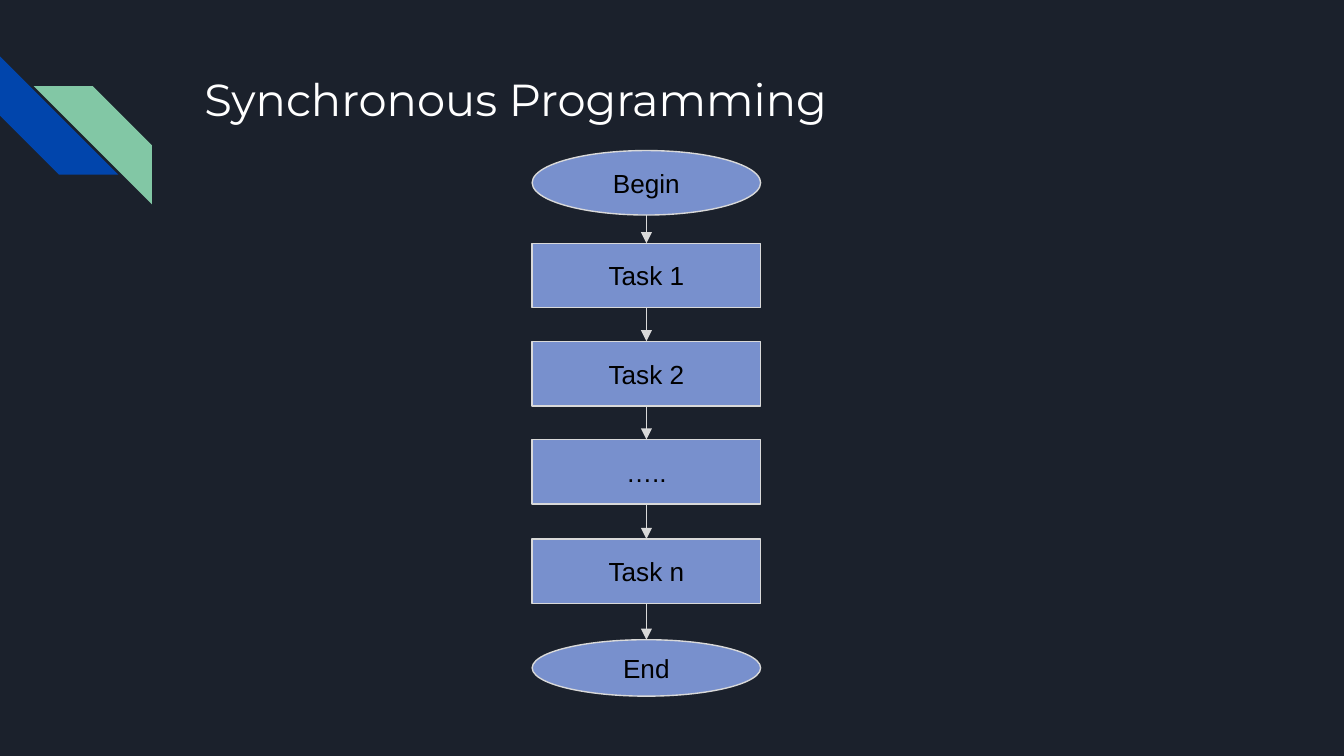
from itertools import pairwise

from pptx import Presentation
from pptx.dml.color import RGBColor
from pptx.enum import shapes, text
from pptx.oxml import parse_xml
from pptx.oxml.ns import nsdecls
from pptx.util import Inches, Pt

TITLE = "Synchronous Programming"
OVAL = shapes.MSO_SHAPE.FLOWCHART_CONNECTOR
BOX = shapes.MSO_SHAPE.RECTANGLE
# label, shape, top, height
STEPS = [
    ("Begin", OVAL, 1.12, 0.48),
    ("Task 1", BOX, 1.81, 0.48),
    ("Task 2", BOX, 2.54, 0.48),
    ("…..", BOX, 3.27, 0.48),
    ("Task n", BOX, 4.01, 0.48),
    ("End", OVAL, 4.76, 0.42),
]
STEP_LEFT, STEP_WIDTH = 3.96, 1.7
STRIPE_SIZE = 0.88

THEME = {
    "background": "1B212C",
    "blue": "0145AC",
    "green": "82C7A5",
    "step": "7890CD",
    "line": "D9D9D9",
    "title": ("Montserrat", 24, "FFFFFF"),
    "label": ("Arial", 14, "000000"),
    "line_width": 0.75,
}


def color(name):
    return RGBColor.from_string(THEME[name])


def set_text(shape, words, style, align, anchor):
    font_name, size, rgb = THEME[style]
    frame = shape.text_frame
    frame.text = words
    frame.word_wrap = True
    frame.vertical_anchor = anchor
    frame.margin_left = frame.margin_right = Inches(0.1)
    frame.margin_top = frame.margin_bottom = Inches(0.1)
    para = frame.paragraphs[0]
    para.alignment = align
    font = para.runs[0].font
    font.name, font.size = font_name, Pt(size)
    font.color.rgb = RGBColor.from_string(rgb)


def set_line(line):
    line.color.rgb = color("line")
    line.width = Pt(THEME["line_width"])


def add_filled(page, kind, left, top, width, height, fill):
    shape = page.shapes.add_shape(
        kind, Inches(left), Inches(top), Inches(width), Inches(height))
    shape.shadow.inherit = False
    shape.fill.solid()
    shape.fill.fore_color.rgb = color(fill)
    return shape


def add_stripe(page, left, top, fill):
    stripe = add_filled(page, shapes.MSO_SHAPE.DIAGONAL_STRIPE,
                        left, top, STRIPE_SIZE, STRIPE_SIZE, fill)
    stripe.adjustments[0] = 0.5
    stripe.line.fill.background()
    return stripe


def add_step(page, label, kind, top, height):
    step = add_filled(page, kind, STEP_LEFT, top, STEP_WIDTH, height, "step")
    set_line(step.line)
    set_text(step, label, "label", text.PP_ALIGN.CENTER, text.MSO_ANCHOR.MIDDLE)


def add_arrow(page, start, end):
    center = Inches(STEP_LEFT + STEP_WIDTH / 2)
    arrow = page.shapes.add_connector(
        shapes.MSO_CONNECTOR.STRAIGHT, center, Inches(start), center, Inches(end))
    set_line(arrow.line)
    arrow.line._get_or_add_ln().append(
        parse_xml(f'<a:tailEnd {nsdecls("a")} type="triangle"/>'))
    arrow._element.spPr.append(parse_xml(f'<a:effectLst {nsdecls("a")}/>'))


def main():
    deck = Presentation()
    deck.slide_width = Inches(10)
    deck.slide_height = deck.slide_width * 9 // 16
    page = deck.slides.add_slide(deck.slide_layouts[5])
    page.background.fill.solid()
    page.background.fill.fore_color.rgb = color("background")

    add_stripe(page, 0, 0.42, "blue").rotation = 270
    green = add_stripe(page, 0.25, 0.64, "green")
    green._element.spPr.xfrm.set("flipH", "1")

    title = page.shapes.title
    title.left, title.top = Inches(1.42), Inches(0.43)
    title.width, title.height = Inches(7.7), Inches(0.66)
    set_text(title, TITLE, "title", text.PP_ALIGN.LEFT, text.MSO_ANCHOR.TOP)

    for step in STEPS:
        add_step(page, *step)
    for (_, _, top, height), (_, _, next_top, _) in pairwise(STEPS):
        add_arrow(page, top + height, next_top)

    deck.save("out.pptx")


if __name__ == "__main__":
    main()
